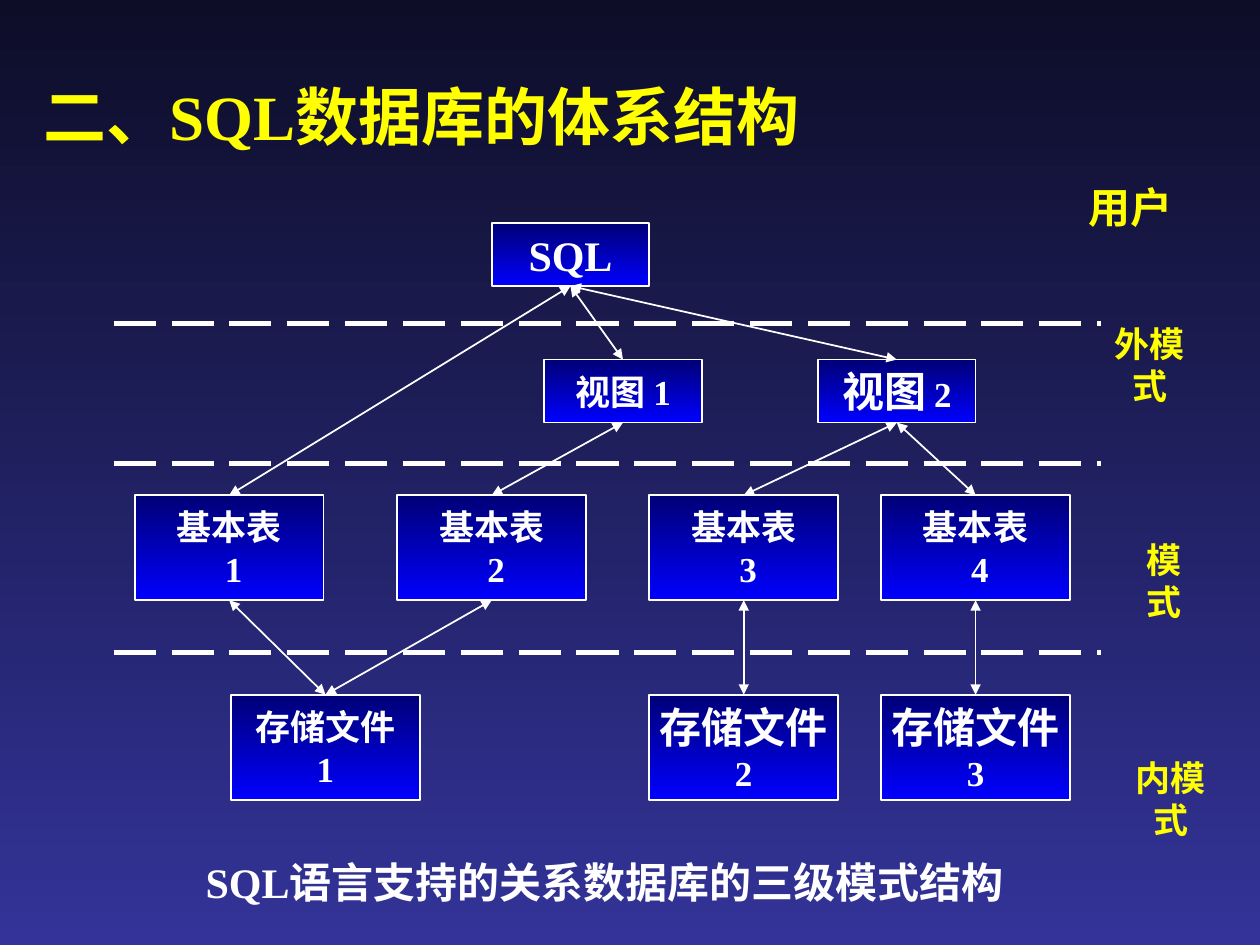
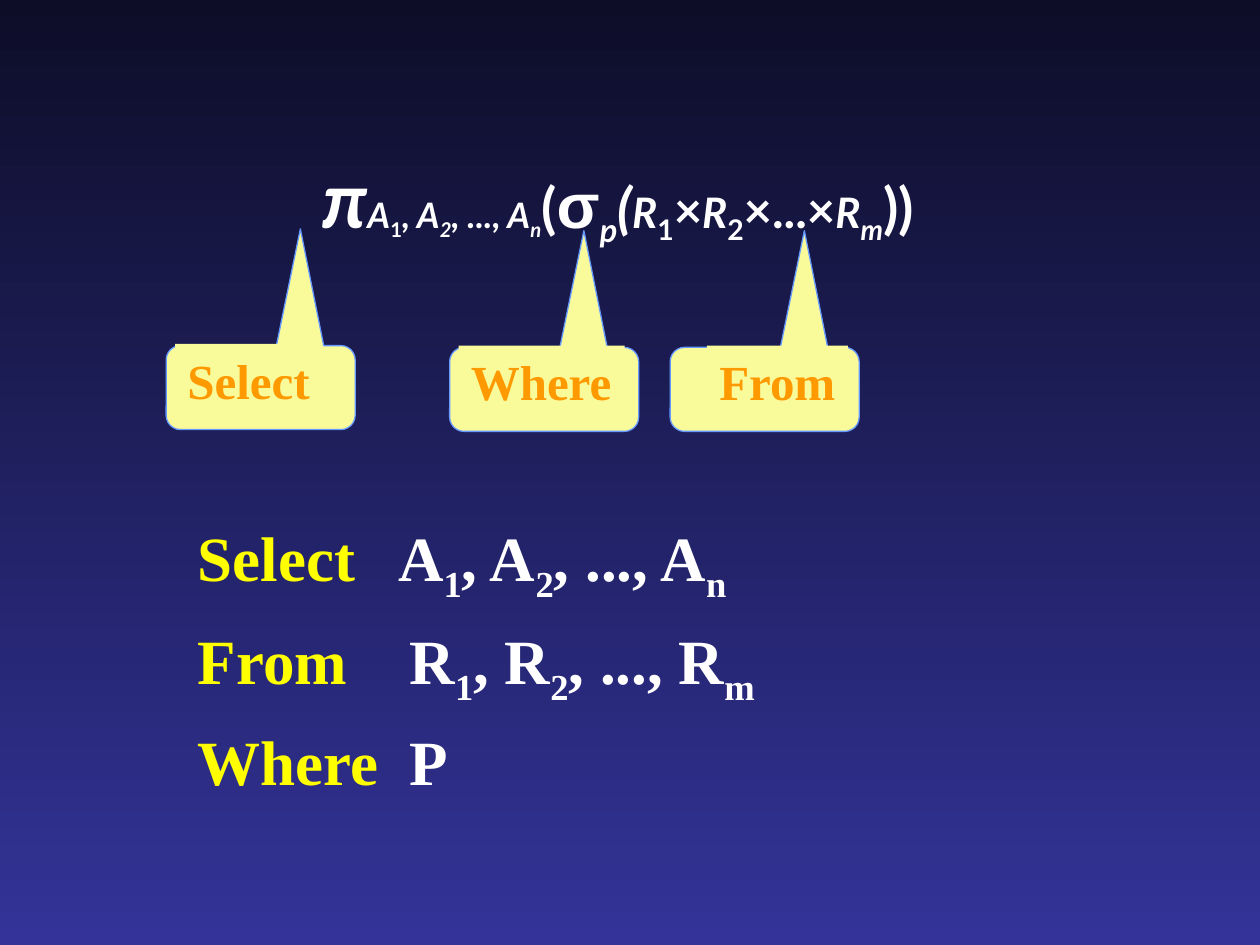
from lxml import etree
from pptx import Presentation
from pptx.dml.color import RGBColor
from pptx.enum import dml, shapes, text
from pptx.oxml import ns
from pptx.util import Pt

HUES = {"night": "0D0D28", "dusk": "333399", "navy": "000076", "blue": "0000FF",
        "white": "FFFFFF", "yellow": "FFFF00", "cream": "F9FB9B",
        "sky": "6699FF", "orange": "FF9900"}
SERIF, SANS, GREEK = "Times New Roman", "Lato", "Arial"
LEFT, MID = text.PP_ALIGN.LEFT, text.PP_ALIGN.CENTER
TOP, CORE = text.MSO_ANCHOR.TOP, text.MSO_ANCHOR.MIDDLE
KIND = shapes.MSO_SHAPE


def hue(name):
    return RGBColor.from_string(HUES[name])


def add_tag(parent, tag, **attrs):
    return etree.SubElement(parent, ns.qn(tag), attrs)


# ---- Shared styles ----
def fade(fill, first, last):
    fill.gradient()
    fill.gradient_angle = 270  # top to bottom
    for stop, name in zip(fill.gradient_stops, (first, last)):
        stop.color.rgb = hue(name)


def new_slide(deck):
    slide = deck.slides.add_slide(deck.slide_layouts[6])
    fade(slide.background.fill, "night", "dusk")
    return slide


def add_run(para, words, size, color="white", font=SERIF, slant=False, sub=False):
    run = para.add_run()
    run.text = words
    run.font.size, run.font.name = Pt(size), font
    run.font.bold, run.font.italic = True, slant
    run.font.color.rgb = hue(color)
    if sub:
        run._r.get_or_add_rPr().set("baseline", "-25000")


def set_text(shape, lines, align=MID, anchor=CORE, wrap=False):
    """Each line is a list of runs; each run holds the arguments of add_run."""
    frame = shape.text_frame
    frame.word_wrap, frame.vertical_anchor = wrap, anchor
    for n, runs in enumerate(lines):
        para = frame.add_paragraph() if n else frame.paragraphs[0]
        para.alignment = align
        for run in runs:
            add_run(para, *run)
    return frame


def add_label(slide, box, lines, **style):
    return set_text(slide.shapes.add_textbox(*map(Pt, box)), lines, **style)


def add_block(slide, kind, box):
    block = slide.shapes.add_shape(kind, *map(Pt, box))
    block.shadow.inherit = False
    return block


def add_line(slide, ends, width):
    line = slide.shapes.add_connector(shapes.MSO_CONNECTOR.STRAIGHT, *map(Pt, ends))
    line.line.color.rgb = hue("white")
    line.line.width = Pt(width)
    add_tag(line._element.spPr, "a:effectLst")
    return line


# ---- Slide 1: three-level schema ----
def add_node(slide, box, lines):
    node = add_block(slide, KIND.RECTANGLE, box)
    fade(node.fill, "navy", "blue")
    node.line.color.rgb = hue("white")
    node.line.width = Pt(1)
    set_text(node, lines)
    return node


def add_link(slide, upper, lower):
    link = add_line(slide, (0, 0, 0, 0), 1)
    link.begin_connect(upper, 2)
    link.end_connect(lower, 0)
    stroke = link.line._get_or_add_ln()
    for end in ("a:headEnd", "a:tailEnd"):
        add_tag(stroke, end, type="triangle")


def add_schema(slide, box):
    left, top, width, _ = box
    # Level borders
    for y in (57.5, 137.5, 245.5):
        rule = add_line(slide, (left, top + y, left + width, top + y), 3)
        rule.line.dash_style = dml.MSO_LINE.LONG_DASH

    # Nodes: name, x, lines; each level has its own y and size
    levels = [
        (0, 90, 36, [("SQL", 216, [[("SQL", 24)]])]),
        (78, 90, 36, [("V1", 246, [[("视图 1", 20)]]),
                      ("V2", 402.5, [[("视图", 24), (" 2", 20)]])]),
        (155.5, 108, 60, [(f"T{n}", x, [[("基本表", 20)], [(f" {n}", 20)]])
                          for n, x in enumerate((12, 162, 306, 438.5), 1)]),
        (269.5, 108, 60, [(f"F{n}", x, [[("存储文件", size)], [(str(n), 20)]])
                          for n, (x, size) in enumerate(
                              ((67, 20), (306, 24), (438.5, 24)), 1)]),
    ]
    nodes = {name: add_node(slide, (left + x, top + y, w, h), lines)
             for y, w, h, row in levels for name, x, lines in row}

    # Links from upper to lower level
    links = {"SQL": "T1 V1 V2", "V1": "T2", "V2": "T3 T4",
             "T1": "F1", "T2": "F1", "T3": "F2", "T4": "F3"}
    for upper, lowers in links.items():
        for lower in lowers.split():
            add_link(slide, nodes[upper], nodes[lower])


def add_levels(slide, box):
    left, top, _, _ = box
    for words, size, x, y, w, h in (("用户", 24, 0, 0, 84, 36),
                                    ("外模式", 20, 16, 92, 74, 32),
                                    ("模式", 20, 34, 215.5, 54, 32),
                                    ("内模式", 20, 28, 340, 74, 32)):
        add_label(slide, (left + x, top + y, w, h), [[(words, size, "yellow")]])


def build_schema(deck):
    slide = new_slide(deck)
    add_label(slide, (18, 30, 612, 72), [[("二、SQL数据库的体系结构", 36, "yellow")]],
              align=LEFT, wrap=True)
    add_schema(slide, (65, 127.5, 564, 329.5))
    add_levels(slide, (604, 100, 102, 372))
    add_label(slide, (98.5, 486, 494, 36),
              [[("SQL语言支持的关系数据库的三级模式结构", 24)]], wrap=True)


# ---- Slide 2: algebra and SQL ----
def add_callout(slide, box, word, shift, width):
    left, top, _, _ = box
    bubble = add_block(slide, KIND.ROUNDED_RECTANGULAR_CALLOUT, box)
    for n, value in enumerate((0.21, -1.89, 0.17)):
        bubble.adjustments[n] = value
    bubble.line.color.rgb = hue("sky")
    bubble.line.width = Pt(0.75)
    plate = add_block(slide, KIND.RECTANGLE, (left + shift, top - 1, width, 41))
    plate.line.fill.background()
    for part in (bubble, plate):
        part.fill.solid()
        part.fill.fore_color.rgb = hue("cream")
    set_text(plate, [[(word, 28, "orange")]], align=LEFT, anchor=TOP)


def add_formula(slide, box):
    # words, size, slant, sub
    parts = [("π", 44, 1, 0), ("A", 20, 1, 0), ("1", 20, 0, 1), (", A", 20, 1, 0),
             ("2", 20, 1, 1), (", ..., A", 20, 1, 0), ("n", 20, 1, 1),
             ("(", 32, 0, 0), ("σ", 36, 0, 0), ("p", 32, 1, 1), ("(", 32, 1, 0),
             ("R", 24, 1, 0), ("1", 28, 0, 1), ("×", 28, 0, 0), ("R", 24, 1, 0),
             ("2", 28, 0, 1), ("×...×", 28, 0, 0), ("R", 24, 1, 0),
             ("m", 28, 1, 1), ("))", 32, 0, 0)]
    runs = [(words, size, "white", GREEK if words == "σ" else SANS, bool(slant), sub)
            for words, size, slant, sub in parts]
    frame = add_label(slide, box, [runs], align=LEFT, anchor=TOP)
    frame.paragraphs[0].space_before = Pt(20)


def add_query(slide, box):
    def series(letter, last):
        marks = [(letter, 0), ("1", 1), (f", {letter}", 0), ("2", 1),
                 (f", ..., {letter}", 0), (last, 1)]
        return [(words, 36, "white", SERIF, False, sub) for words, sub in marks]

    clauses = [("Select", 114.5, series("A", "n")), ("From", 121, series("R", "m")),
               ("Where", 121, [("P", 36)])]
    lines = [[(word + "\t", 36, "yellow")] + runs for word, _, runs in clauses]
    frame = add_label(slide, box, lines, align=LEFT, anchor=TOP, wrap=True)
    for para, (_, stop, _) in zip(frame.paragraphs, clauses):
        para.line_spacing = 1.2
        para.space_before = Pt(0)
        tabs = add_tag(para._p.get_or_add_pPr(), "a:tabLst")
        add_tag(tabs, "a:tab", pos=str(int(Pt(stop))), algn="l")
    frame.paragraphs[0].space_before = Pt(22.5)


def build_query(deck):
    slide = new_slide(deck)
    for word, x, y, shift, width in (("Select", 95, 197.5, 5, 84),
                                     ("Where", 257, 198.5, 5, 95),
                                     ("From", 383, 198.5, 21, 80.5)):
        add_callout(slide, (x, y, 108, 48), word, shift, width)
    add_formula(slide, (177, 83, 379, 63))
    add_query(slide, (106, 283, 600, 177))


def main():
    deck = Presentation()
    deck.slide_width, deck.slide_height = Pt(720), Pt(540)
    build_schema(deck)
    build_query(deck)
    deck.save("out.pptx")


if __name__ == "__main__":
    main()
